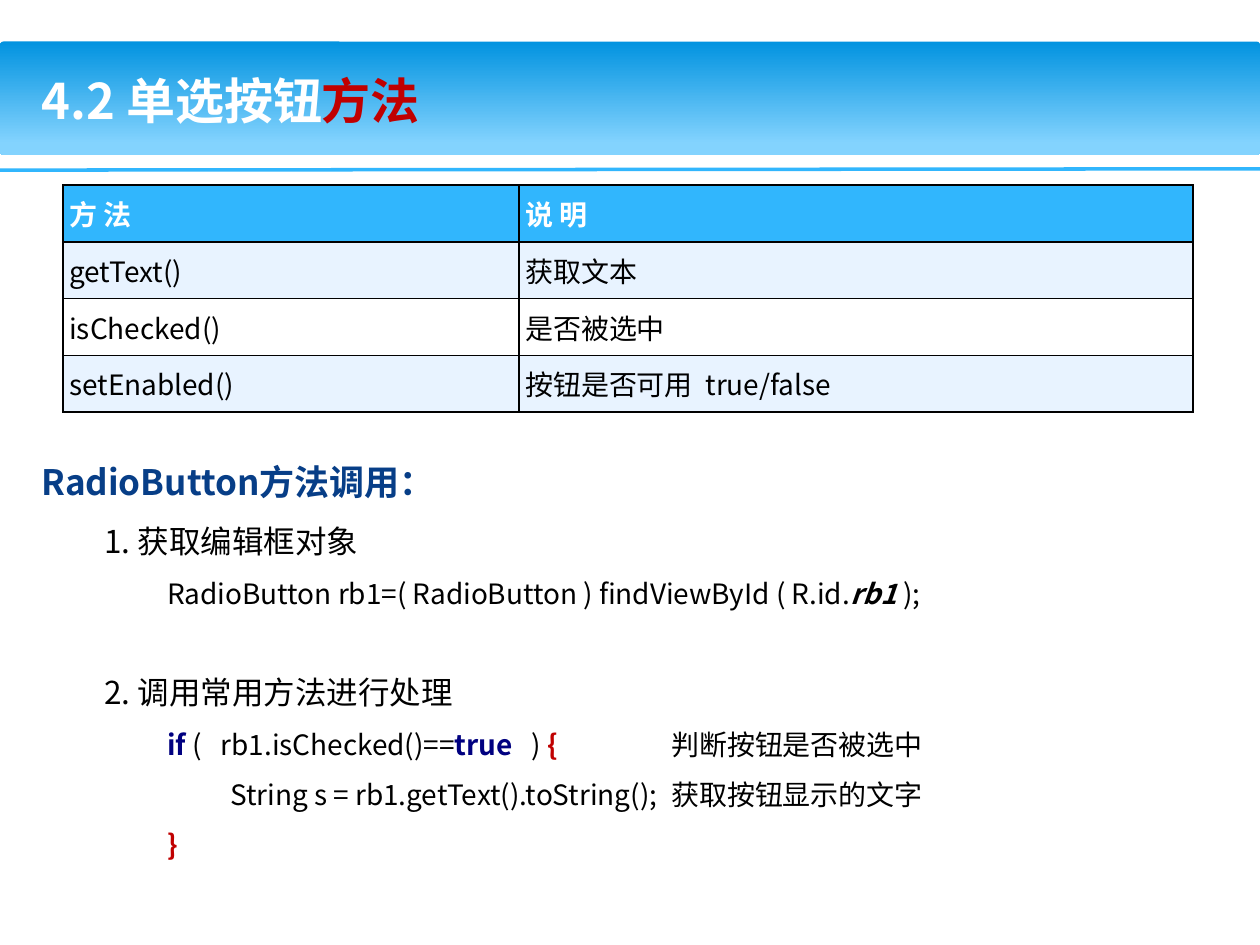
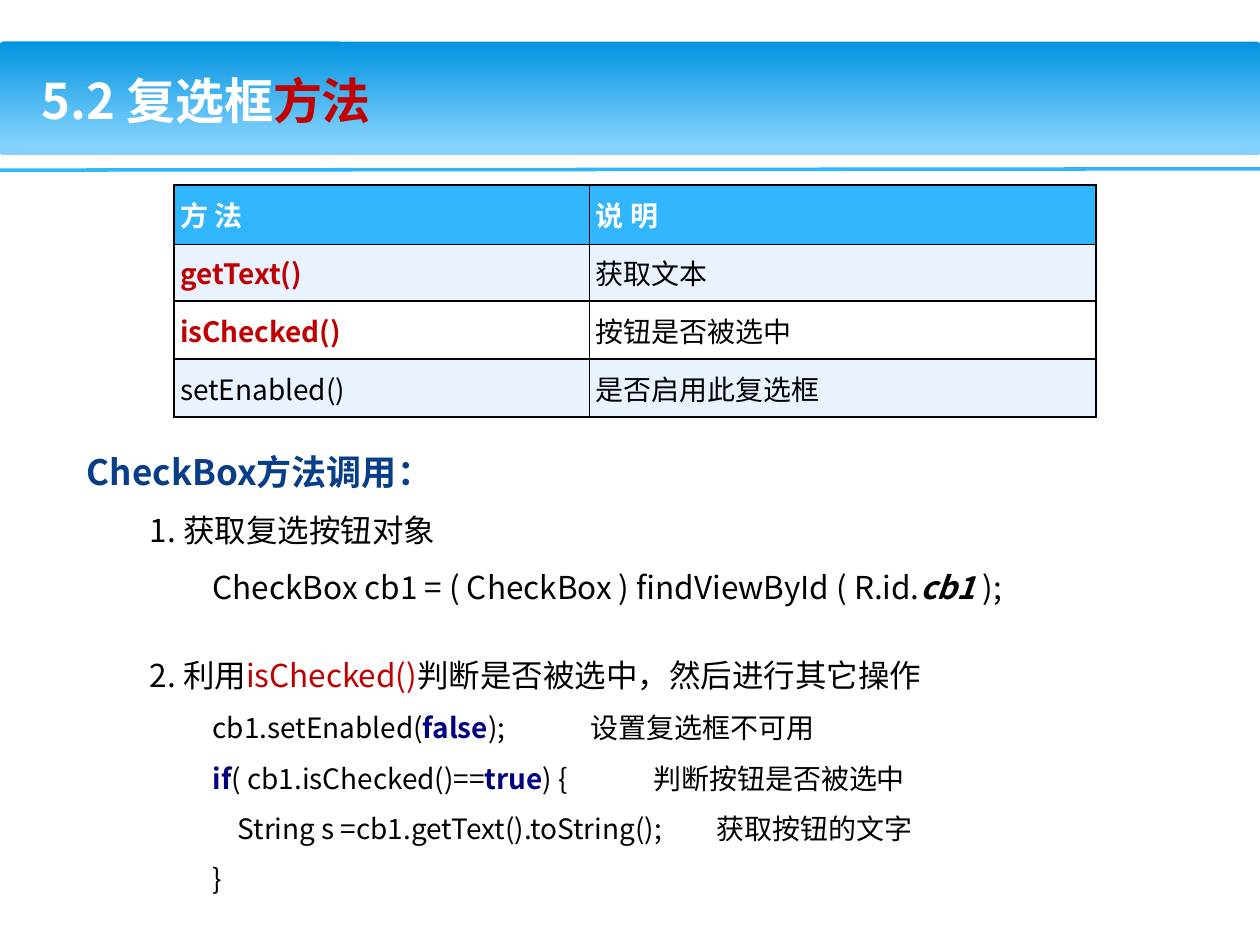
from lxml import etree
from pptx import Presentation
from pptx.dml import color as dml
from pptx.enum import shapes, text
from pptx.oxml import ns
from pptx.util import Inches, Pt

FACE = "Noto Sans CJK SC"
WHITE, BLACK, RED = "FFFFFF", "000000", "C00000"
SKY, PALE, NAVY, BLUE = "31B6FD", "E8F3FF", "000080", "073E87"
KEY = {"color": NAVY, "bold": True}
HOT = {"color": RED, "bold": True}
NAME = {"bold": True, "italic": True}
HEAD = {"size": 20, "color": BLUE, "bold": True}
STEP = {"size": 18}
CODE = {"size": 16}


def rgb(code):
    return dml.RGBColor.from_string(code)


def say(par, words, size=16, color=BLACK, bold=False, italic=False, gap=0):
    """Add a run; gap is extra letter spacing in points."""
    run = par.add_run()
    run.text = words
    font = run.font
    font.size, font.bold, font.italic = Pt(size), bold, italic
    font.color.rgb = rgb(color)
    font.name = FACE
    props = run._r.get_or_add_rPr()
    etree.SubElement(props, ns.qn("a:ea")).set("typeface", FACE)
    if gap:
        props.set("spc", str(round(gap * 100)))


def edge(cell):
    """Draw a thin black border on all four sides of a cell."""
    props = cell._tc.get_or_add_tcPr()
    for spot, side in enumerate(("lnL", "lnR", "lnT", "lnB")):
        line = etree.Element(ns.qn(f"a:{side}"), w=str(Pt(1)))
        fill = etree.SubElement(line, ns.qn("a:solidFill"))
        etree.SubElement(fill, ns.qn("a:srgbClr"), val=BLACK)
        props.insert(spot, line)


class Deck:
    def __init__(self):
        self.show = Presentation()
        self.show.slide_width, self.show.slide_height = Inches(10), Inches(7.5)

    def page(self, lead, tail):
        """Start a slide with the band, the rule and a two-colour title."""
        self.slide = self.show.slides.add_slide(self.show.slide_layouts[5])
        self.band()
        self.rule()
        title = self.slide.shapes.title
        title.left, title.top = Inches(0.23), Inches(0.36)
        title.width, title.height = Inches(8.8), Inches(0.87)
        self.slide.shapes._spTree.append(title._element)
        frame = title.text_frame
        frame.auto_size = text.MSO_AUTO_SIZE.NONE
        frame.vertical_anchor = text.MSO_ANCHOR.MIDDLE
        par = frame.paragraphs[0]
        par.alignment = text.PP_ALIGN.LEFT
        say(par, lead, size=28, color=WHITE, bold=True)
        say(par, tail, size=28, **HOT)

    def band(self):
        band = self.slide.shapes.add_shape(
            shapes.MSO_SHAPE.ROUNDED_RECTANGLE,
            0, Inches(0.33), Inches(10), Inches(0.9))
        band.adjustments[0] = 0.03
        band.shadow.inherit = False
        band.line.fill.background()
        band.fill.gradient()
        band.fill.gradient_angle = 270
        tones = ((0, "0293E0"), (0.9, "83D3FE"))
        for stop, (place, tone) in zip(band.fill.gradient_stops, tones):
            stop.position, stop.color.rgb = place, rgb(tone)

    def rule(self):
        rule = self.slide.shapes.add_connector(
            shapes.MSO_CONNECTOR.STRAIGHT,
            0, Inches(1.35), Inches(10), Inches(1.34))
        rule.line.color.rgb = rgb(SKY)
        rule.line.width = Pt(2)
        etree.SubElement(rule._element.spPr, ns.qn("a:effectLst"))

    def grid(self, left, cols, highs, rows):
        """Add the method table; each cell is a list of (words, format)."""
        rows = [[[(name, {"color": WHITE, "bold": True})]
                 for name in ("方 法", "说 明")]] + rows
        table = self.slide.shapes.add_table(
            len(rows), len(cols), Inches(left), Inches(1.47),
            Inches(sum(cols)), Inches(sum(highs))).table
        for col, width in zip(table.columns, cols):
            col.width = Inches(width)
        for row, high in zip(table.rows, highs):
            row.height = Inches(high)
        for at, row in enumerate(rows):
            tone = SKY if at == 0 else PALE if at % 2 else WHITE
            for cell, runs in zip(table.rows[at].cells, row):
                cell.margin_left = cell.margin_right = Inches(0.05)
                cell.margin_top = cell.margin_bottom = 0
                cell.vertical_anchor = text.MSO_ANCHOR.MIDDLE
                cell.fill.solid()
                cell.fill.fore_color.rgb = rgb(tone)
                edge(cell)
                for words, style in runs:
                    say(cell.text_frame.paragraphs[0], words, **style)

    def notes(self, box, lines, align=text.PP_ALIGN.LEFT):
        """Add a text box; each line is (indent, space before, base, runs)."""
        frame = self.slide.shapes.add_textbox(*map(Inches, box)).text_frame
        frame.word_wrap = True
        for at, (indent, before, base, runs) in enumerate(lines):
            par = frame.add_paragraph() if at else frame.paragraphs[0]
            props = par._p.get_or_add_pPr()
            props.set("marL", str(Inches(indent)))
            props.set("indent", "0")
            par.alignment = align
            par.line_spacing = 1.5
            par.space_before = Pt(before)
            for words, style in runs:
                say(par, words, **{**base, **style})


def radio(deck):
    deck.page("4.2 单选按钮", "方法")
    deck.grid(0.5, (3.62, 5.35), [0.45] * 4, [
        [[("getText()", {})], [("获取文本", {})]],
        [[("isChecked()", {})], [("是否被选中", {})]],
        [[("setEnabled()", {})],
         [("按钮是否可用", {}), (" ", {"gap": 3.6}), ("true/false", {})]],
    ])
    wide = (" ", {"gap": 7.2})
    deck.notes((0.23, 3.44, 9.49, 3.86), [
        (0, 0, HEAD, [("RadioButton方法调用：", {})]),
        (0.5, 0, STEP, [("1. 获取编辑框对象", {})]),
        (1, 0, CODE, [
            ("RadioButton rb1=( RadioButton ) findViewById ( R.id.", {}),
            ("rb1 ", NAME), (");", {})]),
        (0.5, 25.2, STEP, [("2. 调用常用方法进行处理", {})]),
        (1, 0, CODE, [
            ("if ", KEY), ("(", {}), wide, ("rb1.isChecked()==", {}),
            ("true", KEY), wide, (") ", {}), ("{\t\t", HOT),
            ("判断按钮是否被选中", {})]),
        (1, 0, CODE, [
            ("\tString s = rb1.getText().toString();\t获取按钮显示的文字", {})]),
        (1, 0, CODE, [("}", HOT)]),
    ], text.PP_ALIGN.JUSTIFY)


def check(deck):
    deck.page("5.2 复选框", "方法")
    deck.grid(1.38, (3.3, 4.02), (0.47, 0.45, 0.46, 0.46), [
        [[("getText()", HOT)], [("获取文本", {})]],
        [[("isChecked()", HOT)], [("按钮是否被选中", {})]],
        [[("setEnabled()", {})], [("是否启用此复选框", {})]],
    ])
    deck.notes((0.59, 3.36, 8.82, 4.02), [
        (0, 0, HEAD, [("CheckBox方法调用：", {})]),
        (0.5, 0, STEP, [("1. 获取复选按钮对象", {})]),
        (1, 0, STEP, [
            ("CheckBox cb1 = ( CheckBox ) findViewById ( R.id.", {}),
            ("cb1 ", NAME), (");", {})]),
        (0.5, 18, STEP, [
            ("2. 利用", {}), ("isChecked()", {"color": RED}),
            ("判断是否被选中，然后进行其它操作", {})]),
        (1, 0, CODE, [
            ("cb1.setEnabled(", {}), ("false", KEY),
            (");\t\t设置复选框不可用", {})]),
        (1, 0, CODE, [
            ("if", KEY), ("( cb1.isChecked()==", {}), ("true", KEY),
            (") {\t\t判断按钮是否被选中", {})]),
        (1, 0, CODE, [
            ("    String s =cb1.getText().toString();\t获取按钮的文字", {})]),
        (1, 0, CODE, [("}", {})]),
    ])


def main():
    deck = Deck()
    radio(deck)
    check(deck)
    deck.show.save("out.pptx")


if __name__ == "__main__":
    main()
